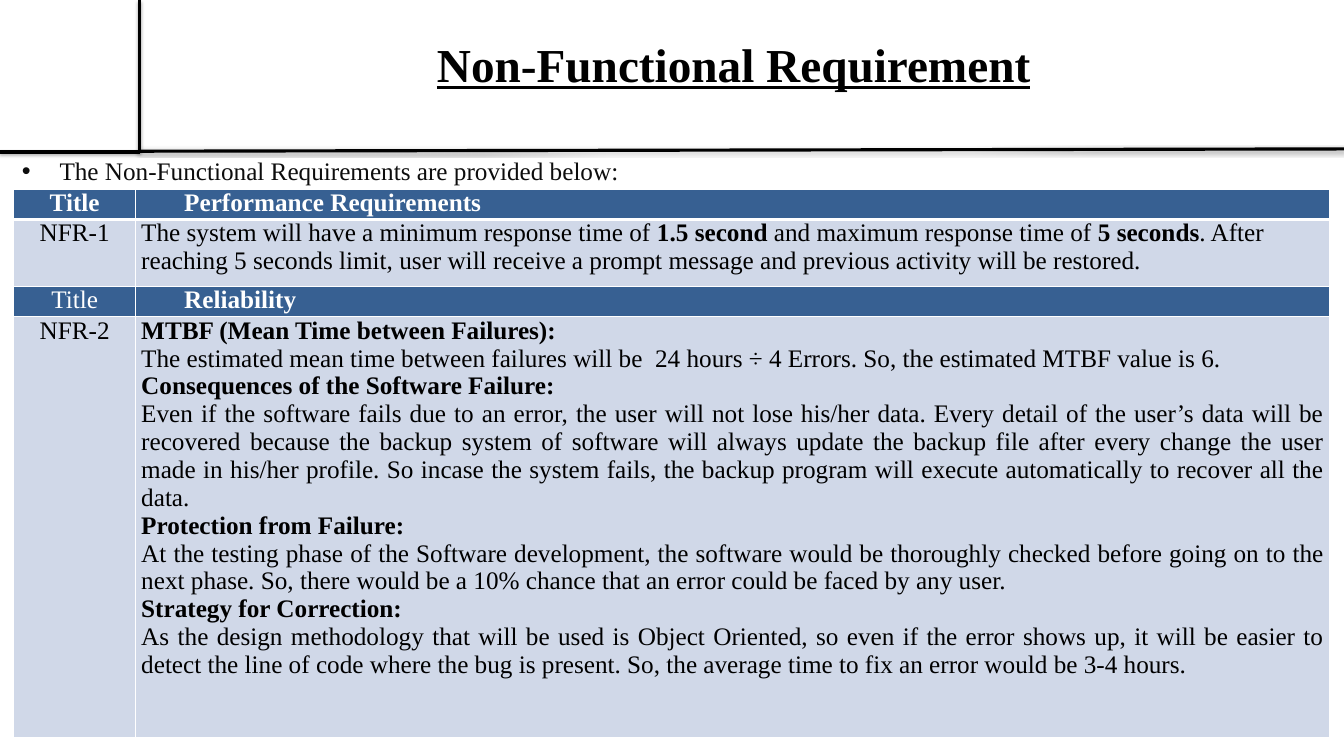
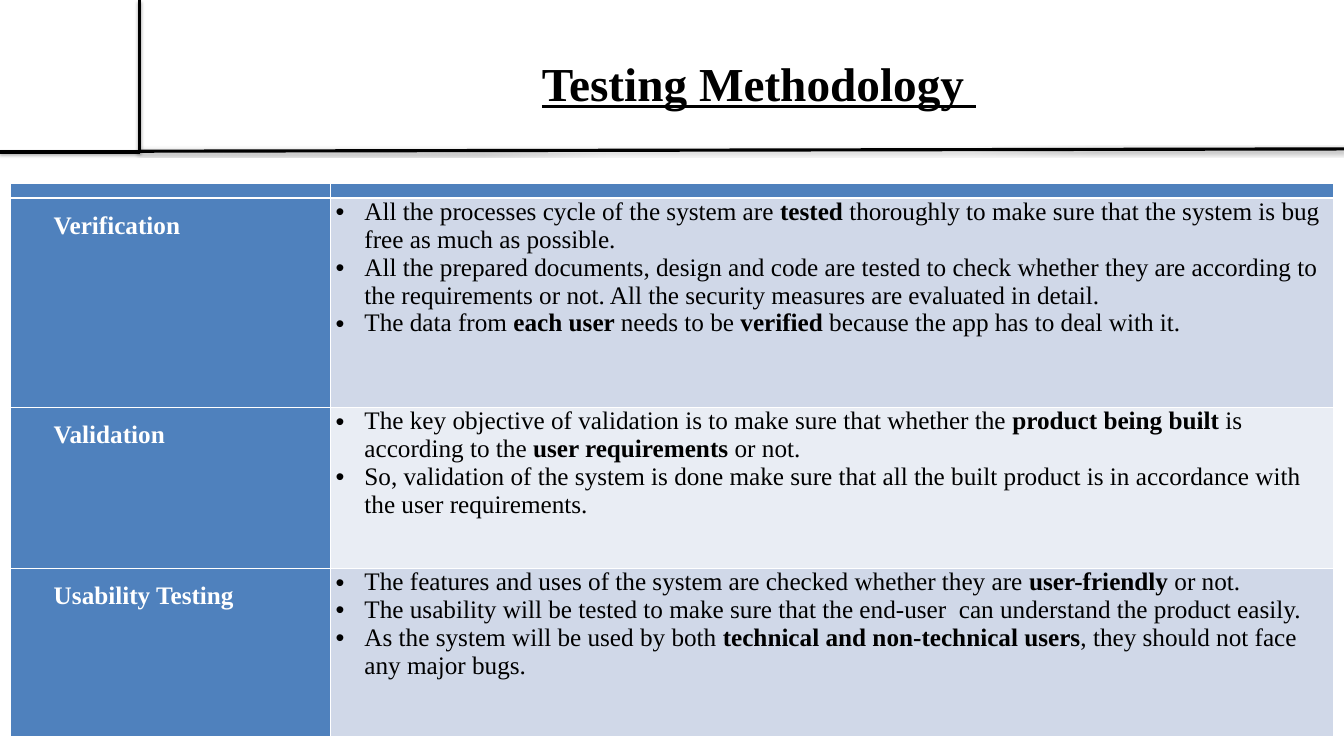
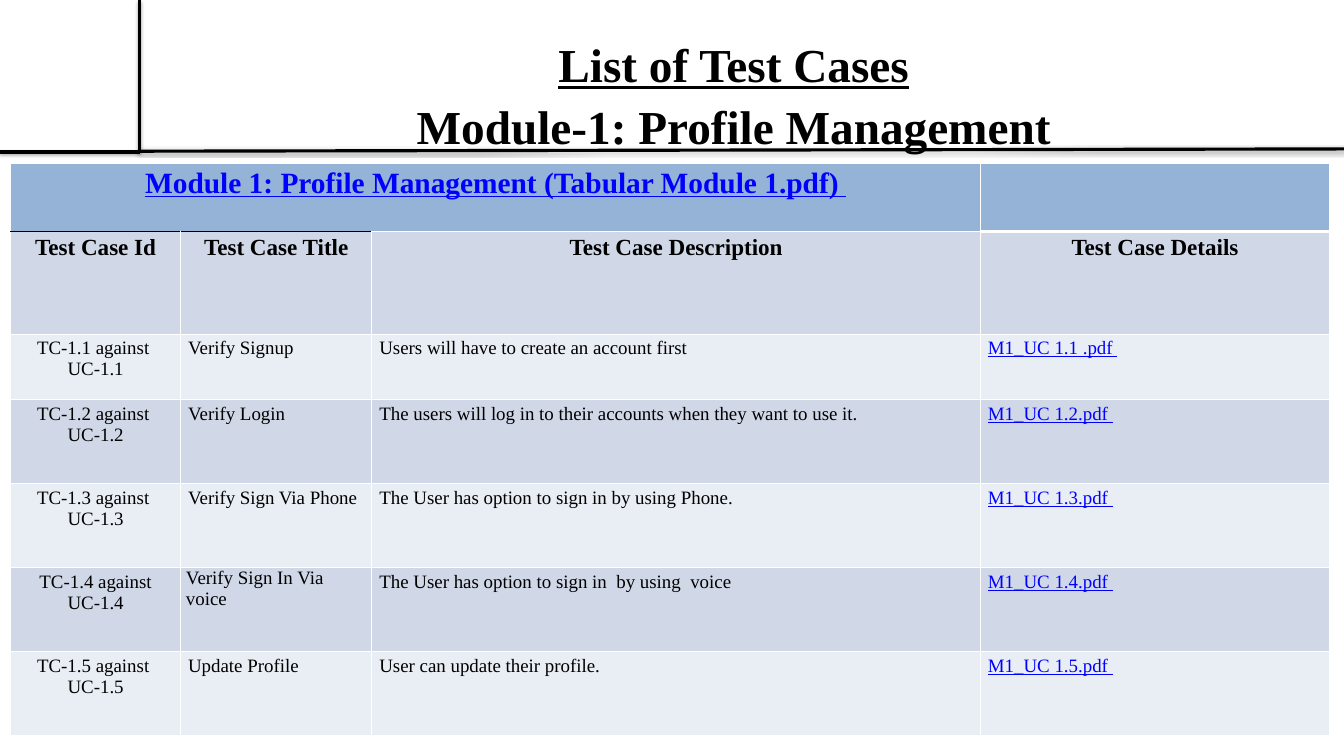
from dataclasses import dataclass, replace
from typing import Optional

import pptx
import pptx.dml.color
import pptx.enum.shapes
import pptx.enum.text
import pptx.oxml.ns
import pptx.util
from lxml import etree

RGBColor = pptx.dml.color.RGBColor
Align = pptx.enum.text.PP_ALIGN
qn = pptx.oxml.ns.qn

# Shared look
BLACK = RGBColor(0x00, 0x00, 0x00)
WHITE = RGBColor(0xFF, 0xFF, 0xFF)
SOFT_BLACK = RGBColor(0x0D, 0x0D, 0x0D)
LINK_BLUE = RGBColor(0x00, 0x00, 0xFF)
NAVY = RGBColor(0x37, 0x60, 0x92)
BLUE = RGBColor(0x4F, 0x81, 0xBD)
SKY = RGBColor(0x95, 0xB3, 0xD7)
BAND_DARK = RGBColor(0xD0, 0xD8, 0xE8)
BAND_LIGHT = RGBColor(0xE9, 0xED, 0xF4)
FONT = "Times New Roman"

# The slide is a grid of 100 columns by 100 rows
WIDTH = pptx.util.Inches(17.78)
HEIGHT = pptx.util.Inches(10)


def columns(count: float) -> int:
    return round(WIDTH * count / 100)


def rows(count: float) -> int:
    return round(HEIGHT * count / 100)


@dataclass(frozen=True)
class Box:
    left: float
    top: float
    width: float
    height: float

    def place(self) -> tuple[int, int, int, int]:
        return columns(self.left), rows(self.top), columns(self.width), rows(self.height)


@dataclass(frozen=True)
class Style:
    size: float = 24
    color: RGBColor = BLACK
    bold: bool = False
    underline: bool = False
    align: Align = Align.LEFT
    indent: float = 0
    bullet: bool = False
    line_spacing: float = 1
    before: float = 0
    after: float = 0


@dataclass(frozen=True)
class Margins:
    side: float
    edge: float


@dataclass(frozen=True)
class Cell:
    text: str
    style: Style
    fill: RGBColor
    margins: Optional[Margins] = None
    top: tuple[RGBColor, float] = (WHITE, 1)
    bottom: tuple[RGBColor, float] = (WHITE, 1)


@dataclass(frozen=True)
class Rule:
    start: tuple[float, float]
    end: tuple[float, float]


TIGHT = Margins(0.4, 0)
ROOMY = Margins(0.56, 0.5)
THICK = (WHITE, 3)
THIN_BLACK = (BLACK, 1)
TITLE = Style(45, bold=True, underline=True, align=Align.CENTER, line_spacing=1.1)
BODY = Style()
CENTERED = Style(align=Align.CENTER)
JUSTIFIED = Style(align=Align.JUSTIFY)
EMPTY = Style(12)
FRAME_RULES = (
    Rule((10.4, 0), (10.4, 20.1)),
    Rule((0, 20.1), (10.4, 20.1)),
    Rule((10.4, 20), (100, 19.7)),
)
TITLE_BOX = Box(16.54, 3.3, 76.1, 12.5)


# Text: lines are paragraphs, ** switches bold, \v breaks a line
def write_text(text_frame, text: str, style: Style) -> None:
    for number, line in enumerate(text.split("\n")):
        paragraph = text_frame.paragraphs[0] if number == 0 else text_frame.add_paragraph()
        paragraph.alignment = style.align
        paragraph.line_spacing = style.line_spacing
        paragraph.space_before = pptx.util.Pt(style.before)
        paragraph.space_after = pptx.util.Pt(style.after)
        properties = paragraph._p.get_or_add_pPr()
        properties.set("marL", str(columns(style.indent)))
        properties.set("indent", str(-columns(style.indent) if style.bullet else 0))
        if style.bullet:
            etree.SubElement(properties, qn("a:buFont"), typeface="Arial")
            etree.SubElement(properties, qn("a:buChar"), char="•")
        if not line:
            etree.SubElement(paragraph._p, qn("a:endParaRPr"), sz=str(round(style.size * 100)))
            continue
        for position, part in enumerate(line.split("**")):
            if part:
                write_runs(paragraph, part, style, style.bold or position % 2 == 1)


def write_runs(paragraph, text: str, style: Style, bold: bool) -> None:
    for number, part in enumerate(text.split("\v")):
        if number:
            paragraph.add_line_break()
        run = paragraph.add_run()
        run.text = part
        run.font.name = FONT
        run.font.size = pptx.util.Pt(style.size)
        run.font.bold = bold
        run.font.underline = style.underline
        run.font.color.rgb = style.color


def add_text(slide, box: Box, text: str, style: Style) -> None:
    text_frame = slide.shapes.add_textbox(*box.place()).text_frame
    text_frame.word_wrap = True
    text_frame.margin_left = text_frame.margin_right = columns(0.62)
    text_frame.margin_top = text_frame.margin_bottom = rows(0.6)
    write_text(text_frame, text, style)


# Frame lines with their soft shadow
def add_rule(slide, rule: Rule) -> None:
    connector = slide.shapes.add_connector(
        pptx.enum.shapes.MSO_CONNECTOR.STRAIGHT,
        columns(rule.start[0]), rows(rule.start[1]),
        columns(rule.end[0]), rows(rule.end[1]),
    )
    connector.line.color.rgb = BLACK
    connector.line.width = pptx.util.Pt(3)
    effects = etree.SubElement(connector._element.spPr, qn("a:effectLst"))
    shadow = etree.SubElement(
        effects, qn("a:outerShdw"), blurRad=str(pptx.util.Pt(3.1)),
        dist=str(pptx.util.Pt(1.8)), dir="5400000", rotWithShape="0",
    )
    color = etree.SubElement(shadow, qn("a:srgbClr"), val=str(BLACK))
    etree.SubElement(color, qn("a:alpha"), val="35000")


def add_slide(presentation, title: str, title_box: Box = TITLE_BOX):
    slide = presentation.slides.add_slide(presentation.slide_layouts[6])
    for rule in FRAME_RULES:
        add_rule(slide, rule)
    add_text(slide, title_box, title, TITLE)
    return slide


# Tables
def set_borders(table_cell, cell: Cell) -> None:
    properties = table_cell._tc.get_or_add_tcPr()
    sides = {"lnL": (WHITE, 1), "lnR": (WHITE, 1), "lnT": cell.top, "lnB": cell.bottom}
    for position, (tag, (color, width)) in enumerate(sides.items()):
        line = etree.Element(qn(f"a:{tag}"), w=str(pptx.util.Pt(width)))
        fill = etree.SubElement(line, qn("a:solidFill"))
        etree.SubElement(fill, qn("a:srgbClr"), val=str(color))
        properties.insert(position, line)


def add_table(slide, left: float, top: float, widths: list[float], heights: list[float],
              grid: list[list[Cell]], margins: Margins):
    box = Box(left, top, sum(widths), sum(heights))
    table = slide.shapes.add_table(len(heights), len(widths), *box.place()).table
    table.first_row = table.horz_banding = False
    for column, width in zip(table.columns, widths):
        column.width = columns(width)
    for row, height, cells in zip(table.rows, heights, grid):
        row.height = rows(height)
        for table_cell, cell in zip(row.cells, cells):
            inset = cell.margins or margins
            table_cell.margin_left = table_cell.margin_right = columns(inset.side)
            table_cell.margin_top = table_cell.margin_bottom = rows(inset.edge)
            table_cell.fill.solid()
            table_cell.fill.fore_color.rgb = cell.fill
            set_borders(table_cell, cell)
            write_text(table_cell.text_frame, cell.text, cell.style)
    return table


# Slide 1: requirements
RELIABILITY = [
    ("MTBF (Mean Time between Failures):",
     "The estimated mean time between failures will be  24 hours ÷ 4 Errors. So, the estimated MTBF value is 6."),
    ("Consequences of the Software Failure:",
     "Even if the software fails due to an error, the user will not lose his/her data. Every detail of the user’s "
     "data will be recovered because the backup system of software will always update the backup file after every "
     "change the user made in his/her profile. So incase the system fails, the backup program will execute "
     "automatically to recover all the data."),
    ("Protection from Failure:",
     "At the testing phase of the Software development, the software would be thoroughly checked before going on to "
     "the next phase. So, there would be a 10% chance that an error could be faced by any user."),
    ("Strategy for Correction:",
     "As the design methodology that will be used is Object Oriented, so even if the error shows up, it will be "
     "easier to detect the line of code where the bug is present. So, the average time to fix an error would be "
     "3-4 hours."),
]
PERFORMANCE = (
    "The system will have a minimum response time of **1.5 second** and maximum response time of **5 seconds**. "
    "After reaching 5 seconds limit, user will receive a prompt message and previous activity will be restored."
)


def build_requirements(presentation) -> None:
    slide = add_slide(presentation, "Non-Functional Requirement")
    add_text(slide, Box(1, 20, 95.6, 66.7), "The Non-Functional Requirements are provided below:",
             Style(color=SOFT_BLACK, align=Align.JUSTIFY, indent=2.81, bullet=True, before=4.8))
    label = replace(CENTERED, color=WHITE)
    heading = Style(color=WHITE, bold=True, indent=3.2)
    reliability = "\n".join(f"**{topic}**\n{detail}" for topic, detail in RELIABILITY)
    grid = [
        [Cell("**Title**", label, NAVY, bottom=THICK),
         Cell("Performance Requirements", heading, NAVY, bottom=THICK)],
        [Cell("NFR-1", CENTERED, BAND_DARK, top=THICK), Cell(PERFORMANCE, BODY, BAND_DARK, top=THICK)],
        [Cell("Title", label, NAVY), Cell("Reliability", heading, NAVY)],
        [Cell("NFR-2", CENTERED, BAND_DARK), Cell(reliability, JUSTIFIED, BAND_DARK)],
    ]
    add_table(slide, 1, 25, [9.11, 88.81], [3.6, 8.9, 3.6, 55.6], grid, TIGHT)


# Slide 2: testing methods
METHODS = [
    ("Verification", """All the processes cycle of the system are **tested** thoroughly to make sure that the system \
is bug free as much as possible.
All the prepared documents, design and code are tested to check whether they are according to the requirements or \
not. All the security measures are evaluated in detail.
The data from **each user **needs to be **verified** because the app has to deal with it."""),
    ("Validation", """The key objective of validation is to make sure that whether the **product being built **is \
according to the **user requirements **or not.
So, validation of the system is done make sure that all the built product is in accordance with the user \
requirements."""),
    ("Usability Testing", """The features and uses of the system are checked whether they are** user-friendly **or not.
The usability will be tested to make sure that the end-user  can understand the product easily.
As the system will be used by both **technical and non-technical users**, they should not face any major bugs."""),
]


def build_methodology(presentation) -> None:
    slide = add_slide(presentation, "Testing Methodology ", Box(15.13, 5.8, 82.68, 12.5))
    label = Style(color=WHITE, bold=True, align=Align.JUSTIFY, indent=2.81,
                  line_spacing=1.5, before=24, after=3)
    points = Style(indent=2.14, bullet=True)
    grid = [[Cell("", EMPTY, BLUE, bottom=THICK)] * 2]
    for number, (name, text) in enumerate(METHODS):
        top = (WHITE, 1) if number else THICK
        band = BAND_LIGHT if number % 2 else BAND_DARK
        grid.append([Cell(name, label, BLUE, top=top), Cell(text, points, band, top=top)])
    add_table(slide, 0.79, 24.2, [23.79, 74.63], [2, 27.7, 21.3, 22.2], grid, TIGHT)


# Slide 3: test cases
HEADINGS = ["Test Case Id", "Test Case Title", "Test Case Description", "Test Case Details"]
TEST_CASES = [
    ("Verify Signup", "Users will have to create an account first", "M1_UC 1.1 .pdf "),
    ("Verify Login", "The users will log in to their accounts when they want to use it.", "M1_UC 1.2.pdf "),
    ("Verify Sign Via Phone", "The User has option to sign in by using Phone.", "M1_UC 1.3.pdf "),
    ("Verify Sign In Via voice", "The User has option to sign in  by using  voice", "M1_UC 1.4.pdf "),
    ("Update Profile", "User can update their profile.", "M1_UC 1.5.pdf "),
]
TIGHT_CASE = 4


def build_test_cases(presentation) -> None:
    slide = add_slide(presentation, "List of Test Cases\vModule-1: Profile Management")
    module = Style(28, LINK_BLUE, bold=True, underline=True, align=Align.CENTER)
    heading = Style(22, bold=True, align=Align.CENTER)
    small = Style(18)
    small_justified = replace(small, align=Align.JUSTIFY)
    link = replace(small_justified, color=LINK_BLUE, underline=True)
    edges = [THIN_BLACK, THIN_BLACK, (WHITE, 1), THICK]
    module_texts = ["Module 1: Profile Management (Tabular Module 1.pdf) ", "", "", ""]
    grid = [
        [Cell(text, module if text else EMPTY, SKY, bottom=edge) for text, edge in zip(module_texts, edges)],
        [Cell(text, heading, BAND_DARK, top=edge) for text, edge in zip(HEADINGS, edges)],
    ]
    for number, (name, description, document) in enumerate(TEST_CASES, start=1):
        band = BAND_LIGHT if number % 2 else BAND_DARK
        # The fourth identifier has no space at its line end
        gap = "" if number == TIGHT_CASE else " "
        grid.append([
            Cell(f"TC-1.{number} against{gap}\nUC-1.{number}", replace(small, align=Align.CENTER), band),
            Cell(name, small, band, TIGHT if number == TIGHT_CASE else None),
            Cell(description, small_justified, band),
            Cell(document, link, band),
        ])
    table = add_table(slide, 0.79, 21.6, [12.65, 14.23, 45.28, 25.98],
                      [9, 13.6, 8.7] + [11.1] * 4, grid, ROOMY)
    table.cell(0, 0).merge(table.cell(0, 2))


def main() -> None:
    presentation = pptx.Presentation()
    presentation.slide_width = WIDTH
    presentation.slide_height = HEIGHT
    build_requirements(presentation)
    build_methodology(presentation)
    build_test_cases(presentation)
    presentation.save("out.pptx")


if __name__ == "__main__":
    main()
